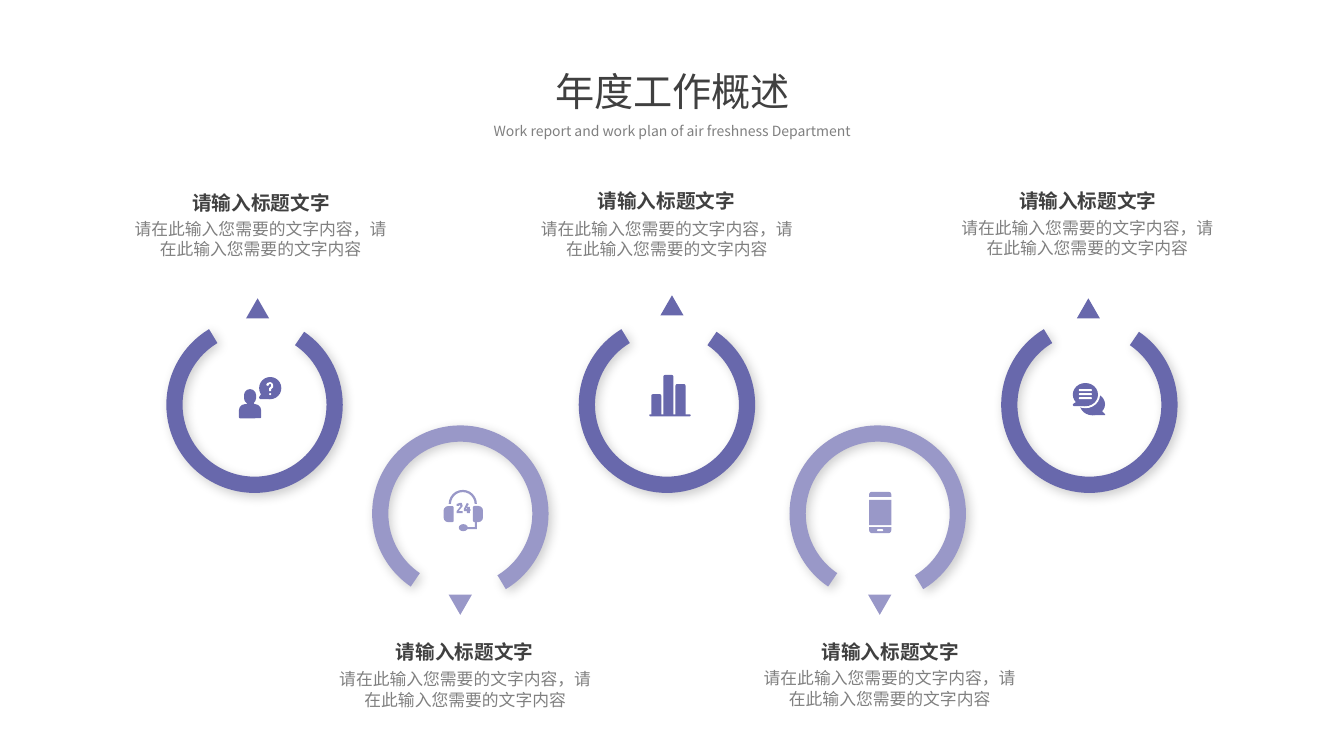
from lxml import etree
from pptx import Presentation
from pptx.dml.color import RGBColor
from pptx.enum import shapes, text
from pptx.oxml import ns
from pptx.util import Inches, Pt

COLORS = {"deep": "6868AC", "light": "9998C8", "white": "FFFFFF",
          "dark": "404040", "grey": "808080"}
FONT = "Noto Sans CJK SC"
KIND = shapes.MSO_SHAPE

deck = Presentation()
deck.slide_width, deck.slide_height = Inches(13.33), Inches(7.5)
slide = deck.slides.add_slide(deck.slide_layouts[5])


def write(box, wording, size, color, bold=False, wrap=True):
    frame = box.text_frame
    frame.word_wrap = wrap
    frame.auto_size = text.MSO_AUTO_SIZE.NONE
    frame.vertical_anchor = text.MSO_ANCHOR.TOP
    paragraph = frame.paragraphs[0]
    paragraph.alignment = text.PP_ALIGN.CENTER
    run = paragraph.add_run()
    run.text = wording
    run.font.size, run.font.bold, run.font.name = Pt(size), bold, FONT
    run.font.color.rgb = RGBColor.from_string(COLORS[color])
    etree.SubElement(run.font._element, ns.qn("a:ea"), typeface=FONT)
    return paragraph


def draw(kind, area, color, turn=0, adjust=()):
    if kind == "outline":
        corners = [(Inches(x), Inches(y)) for x, y in area]
        pen = slide.shapes.build_freeform(*corners[0])
        pen.add_line_segments(corners[1:], close=True)
        part = pen.convert_to_shape()
    else:
        part = slide.shapes.add_shape(kind, *map(Inches, area))
        for index, value in enumerate(adjust):
            part.adjustments[index] = value
    part.rotation = turn
    part.shadow.inherit = False
    part.fill.solid()
    part.fill.fore_color.rgb = RGBColor.from_string(COLORS[color])
    part.line.fill.background()
    return part


title = slide.shapes.title
title.left, title.top, title.width, title.height = map(Inches, (3.35, 0.62, 6.64, 0.57))
write(title, "年度工作概述", 28, "dark")
subtitle = slide.shapes.add_textbox(*map(Inches, (3.55, 1.18, 6.23, 0.25)))
write(subtitle, "Work report and work plan of air freshness Department",
      10, "grey").line_spacing = 0.9

# ring left, heading left, heading top, body left, body top, arrow left, arrow top
steps = [
    (1.65, 1.8, 1.84, 1.17, 2.12, 2.44, 2.96),
    (3.69, 3.82, 6.3, 3.2, 6.59, 4.45, 5.9),
    (5.74, 5.82, 1.83, 5.2, 2.12, 6.55, 2.93),
    (7.83, 8.04, 6.3, 7.41, 6.58, 8.61, 5.9),
    (9.93, 10, 1.83, 9.37, 2.11, 10.68, 2.96),
]
for order, (ring_x, head_x, head_y, body_x, body_y, arrow_x, arrow_y) in enumerate(steps):
    lower = order % 2
    color, turn = ("light", 180) if lower else ("deep", 0)
    ring = draw(KIND.BLOCK_ARC, (ring_x, 4.22 if lower else 3.14, 1.75, 1.75),
                color, turn, (182.525, 143.364, 0.092))
    effects = ring._element.spPr.find(ns.qn("a:effectLst"))
    shadow = etree.SubElement(effects, ns.qn("a:outerShdw"), blurRad=str(Pt(8)),
                              dist=str(Pt(3)), dir="2700000", algn="tl", rotWithShape="0")
    shade = etree.SubElement(shadow, ns.qn("a:srgbClr"), val="000000")
    etree.SubElement(shade, ns.qn("a:alpha"), val="20000")
    draw(KIND.ISOSCELES_TRIANGLE, (arrow_x, arrow_y, 0.23, 0.2), color, turn)
    body = slide.shapes.add_textbox(*map(Inches, (body_x, body_y, 2.83, 0.5)))
    write(body, "请在此输入您需要的文字内容，请在此输入您需要的文字内容", 12, "grey")
    heading = slide.shapes.add_textbox(*map(Inches, (head_x, head_y, 1.58, 0.34)))
    write(heading, "请输入标题文字", 14, "dark", bold=True, wrap=False)

rounded, domed, disc = KIND.ROUNDED_RECTANGLE, KIND.ROUND_2_SAME_RECTANGLE, KIND.OVAL

question_icon = [
    (rounded, (2.42, 3.86, 0.12, 0.15), "deep", 0, (0.5,)),
    (KIND.RECTANGLE, (2.45, 3.97, 0.07, 0.06), "deep"),
    (domed, (2.37, 4.01, 0.22, 0.14), "deep", 0, (0.42, 0.08)),
    (disc, (2.57, 3.74, 0.22, 0.22), "deep"),
    ("outline", [(2.59, 3.91), (2.57, 3.94), (2.57, 3.95), (2.58, 3.96),
                 (2.68, 3.96), (2.68, 3.9)], "deep"),
    ("outline", [(2.64, 3.82), (2.65, 3.8), (2.68, 3.79), (2.7, 3.8), (2.71, 3.82),
                 (2.71, 3.84), (2.69, 3.86), (2.69, 3.88), (2.67, 3.88), (2.67, 3.85),
                 (2.69, 3.83), (2.69, 3.81), (2.67, 3.81), (2.66, 3.83)], "white"),
    (disc, (2.67, 3.9, 0.02, 0.02), "white"),
]
headset_icon = [
    (KIND.BLOCK_ARC, (4.45, 4.86, 0.28, 0.28), "light", 0, (108, 0, 0.08)),
    (domed, (4.37, 5.05, 0.16, 0.1), "light", 270, (0.45, 0.15)),
    (domed, (4.66, 5.05, 0.16, 0.1), "light", 90, (0.45, 0.15)),
    ("outline", [(4.71, 5.16), (4.73, 5.16), (4.73, 5.25), (4.62, 5.25),
                 (4.62, 5.23), (4.71, 5.23)], "light"),
    (disc, (4.55, 5.2, 0.09, 0.07), "light"),
    ("outline", [(4.53, 5.02), (4.53, 5), (4.56, 4.99), (4.58, 4.99), (4.59, 5.02),
                 (4.55, 5.07), (4.59, 5.07), (4.59, 5.09), (4.53, 5.09), (4.53, 5.07),
                 (4.57, 5.02), (4.56, 5.01), (4.55, 5.02)], "light"),
    ("outline", [(4.63, 4.99), (4.65, 5), (4.62, 5.05), (4.63, 5.05), (4.63, 5.03),
                 (4.66, 5.03), (4.66, 5.05), (4.67, 5.06), (4.66, 5.07), (4.66, 5.09),
                 (4.63, 5.09), (4.63, 5.07), (4.6, 5.07), (4.6, 5.05)], "light"),
]
bars_icon = [(rounded, (6.44, 4.11, 0.41, 0.02), "deep", 0, (0.5,))]
for column, top in enumerate((3.91, 3.72, 3.81)):
    bars_icon.append((domed, (6.46 + column * 0.12, top, 0.1, 4.12 - top),
                      "deep", 0, (0.17, 0)))
phone_icon = [
    (domed, (8.62, 4.88, 0.22, 0.05), "light", 0, (0.5, 0)),
    (KIND.RECTANGLE, (8.62, 4.96, 0.22, 0.25), "light"),
    (domed, (8.62, 5.23, 0.22, 0.06), "light", 180, (0.5, 0)),
    (rounded, (8.7, 5.25, 0.06, 0.02), "white", 0, (0.5,)),
]
chat_icon = [
    (disc, (10.71, 3.9, 0.25, 0.22), "deep"),
    ("outline", [(10.93, 4.08), (10.96, 4.11), (10.96, 4.12), (10.84, 4.12),
                 (10.84, 4.06)], "deep"),
    (disc, (10.62, 3.78, 0.29, 0.27), "white"),
    (disc, (10.64, 3.8, 0.25, 0.23), "deep"),
    ("outline", [(10.67, 3.99), (10.64, 4.01), (10.64, 4.02), (10.65, 4.03),
                 (10.76, 4.03), (10.76, 3.97)], "deep"),
]
for line in range(3):
    chat_icon.append((rounded, (10.7, 3.86 + line * 0.04, 0.13, 0.02), "white", 0, (0.5,)))

for icon in (question_icon, headset_icon, bars_icon, phone_icon, chat_icon):
    for part in icon:
        draw(*part)

deck.save("out.pptx")
